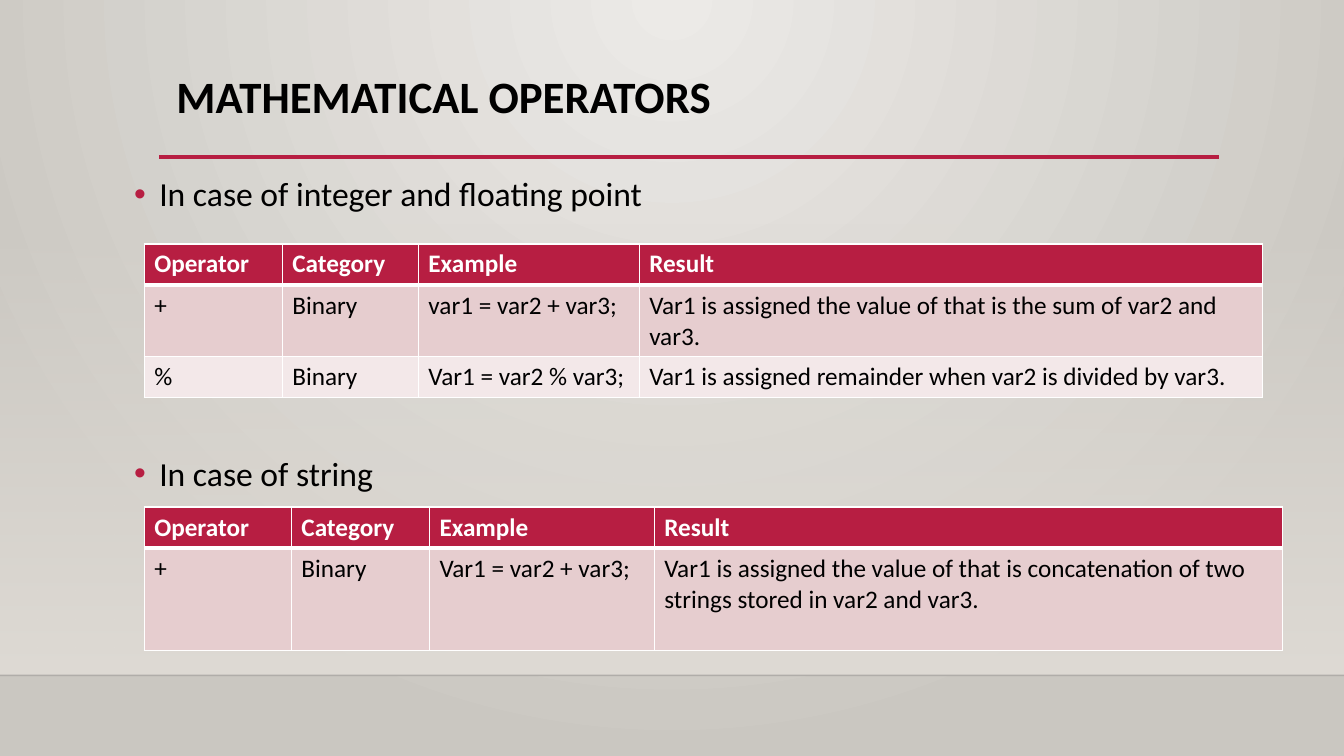
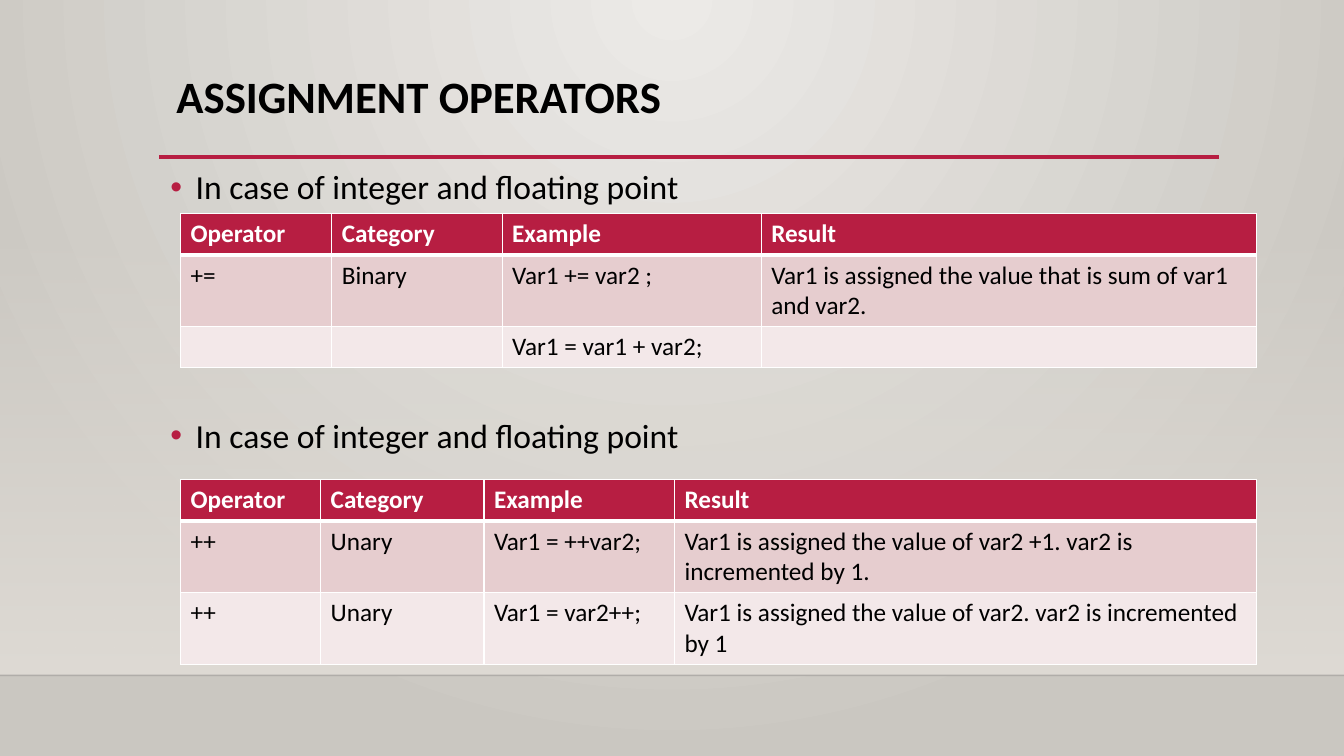
from lxml.etree import SubElement
from pptx import Presentation
from pptx.dml.color import RGBColor
from pptx.enum.shapes import MSO_CONNECTOR, MSO_SHAPE
from pptx.enum.text import MSO_ANCHOR, MSO_AUTO_SIZE, PP_ALIGN
from pptx.oxml.ns import qn
from pptx.util import Inches, Pt

COLORS = {
    "text": "000000",
    "white": "FFFFFF",
    "accent": "B71E42",
    "row_dark": "E6CDCF",
    "row_light": "F3E8E9",
    "glow": "ECEAE7",
    "edge": "CAC7C1",
    "wall": "DFDBD5",
    "floor_line": "000001",
}
FONT = "Calibri"
HEADINGS = ["Operator", "Category", "Example", "Result"]

SLIDES = [
    {
        "title": "MATHEMATICAL OPERATORS",
        "body": (1.23, 1.59, 11.49, 4.98),
        "bullets": [("In case of integer and floating point", 10), ("In case of string", 165)],
        "tables": [
            {
                "position": (1.43, 2.42),
                "columns": [1.37, 1.35, 2.19, 6.18],
                "heights": [0.41, 0.7, 0.4],
                "rows": [
                    ["+", "Binary", "var1 = var2 + var3;",
                     "Var1 is assigned the value of that is the sum of var2 and var3."],
                    ["%", "Binary", "Var1 = var2 % var3;",
                     "Var1 is assigned remainder when var2 is divided by var3."],
                ],
            },
            {
                "position": (1.43, 5.03),
                "columns": [1.46, 1.37, 2.23, 6.23],
                "heights": [0.41, 1.01],
                "rows": [
                    ["+", "Binary", "Var1 = var2 + var3;",
                     "Var1 is assigned the value of that is concatenation of two strings stored in var2 and var3."],
                ],
            },
        ],
    },
    {
        "title": "ASSIGNMENT OPERATORS",
        "body": (1.59, 1.52, 10.87, 5.17),
        "bullets": [("In case of integer and floating point", 10),
                    ("In case of integer and floating point", 143)],
        "tables": [
            {
                "position": (1.79, 2.12),
                "columns": [1.5, 1.69, 2.57, 4.91],
                "heights": [0.41, 0.7, 0.4],
                "rows": [
                    ["+=", "Binary", "Var1 += var2 ;",
                     "Var1 is assigned the value that is sum of var1 and var2."],
                    ["", "", "Var1 = var1 + var2;", ""],
                ],
            },
            {
                "position": (1.79, 4.76),
                "columns": [1.39, 1.62, 1.89, 5.77],
                "heights": [0.41, 0.7, 0.7],
                "rows": [
                    ["++", "Unary", "Var1 = ++var2;",
                     "Var1 is assigned the value of var2 +1. var2 is incremented by 1."],
                    ["++", "Unary", "Var1 = var2++;",
                     "Var1 is assigned the value of var2. var2 is incremented by 1"],
                ],
            },
        ],
    },
]


def write_text(paragraph, text, size=18, color="text", bold=False):
    run = paragraph.add_run()
    run.text = text
    run.font.name = FONT
    run.font.size = Pt(size)
    run.font.bold = bold
    run.font.color.rgb = RGBColor.from_string(COLORS[color])


def place(shape, left, top, width, height):
    shape.left, shape.top = Inches(left), Inches(top)
    shape.width, shape.height = Inches(width), Inches(height)


presentation = Presentation()
presentation.slide_width = Inches(13.33)
presentation.slide_height = Inches(7.5)
layout = presentation.slide_layouts[1]
master = presentation.slide_master

background = master.background.fill
background.gradient()
for stop, color in zip(background.gradient_stops, ["glow", "edge"]):
    stop.color.rgb = RGBColor.from_string(COLORS[color])
direction = master.element.xpath("//p:bgPr/a:gradFill/a:lin")[0]
circle = SubElement(direction.getparent(), qn("a:path"), path="circle")
SubElement(circle, qn("a:fillToRect"), l="43000", t="0", r="43000", b="100000")
direction.getparent().replace(direction, circle)

for placeholder in list(layout.placeholders):
    if placeholder.placeholder_format.idx >= 10:
        placeholder.element.getparent().remove(placeholder.element)
layout_title = layout.placeholders[0]
place(layout_title, 1.65, 0.69, 10.5, 0.83)

slides = [presentation.slides.add_slide(layout) for content in SLIDES]

wall = slides[0].shapes.add_shape(
    MSO_SHAPE.RECTANGLE, 0, Inches(2.21), Inches(13.33), Inches(4.49))
wall.shadow.inherit = False
wall.line.fill.background()
wall.fill.gradient()
wall.fill.gradient_angle = 270
for stop in wall.fill.gradient_stops:
    stop.color.rgb = RGBColor.from_string(COLORS["wall"])
SubElement(wall.element.xpath(".//a:gs/a:srgbClr")[0], qn("a:alpha"), val="0")
layout_title.element.addprevious(wall.element)

for left, right, top, color, weight, opacity in [
    (0, 13.33, 6.7, "floor_line", 1, 20),
    (1.58, 12.09, 1.56, "accent", 2.5, 100),
]:
    rule = slides[0].shapes.add_connector(
        MSO_CONNECTOR.STRAIGHT, Inches(left), Inches(top), Inches(right), Inches(top))
    rule.line.width = Pt(weight)
    rule.line.color.rgb = RGBColor.from_string(COLORS[color])
    SubElement(rule.element.xpath(".//a:ln//a:srgbClr")[0], qn("a:alpha"), val=str(opacity * 1000))
    SubElement(rule.element.spPr, qn("a:effectLst"))
    layout_title.element.addprevious(rule.element)

for slide, content in zip(slides, SLIDES):
    title, body = slide.shapes.title, slide.placeholders[1]
    place(body, *content["body"])
    for frame in (title.text_frame, body.text_frame):
        frame.word_wrap = True
        frame.auto_size = MSO_AUTO_SIZE.NONE
        frame.vertical_anchor = MSO_ANCHOR.TOP

    heading = title.text_frame.paragraphs[0]
    heading.alignment = PP_ALIGN.LEFT
    heading.line_spacing = 0.9
    write_text(heading, content["title"], size=32, bold=True)

    for index, (text, space_before) in enumerate(content["bullets"]):
        frame = body.text_frame
        paragraph = frame.add_paragraph() if index else frame.paragraphs[0]
        paragraph.line_spacing = 1.2
        paragraph.space_before = Pt(space_before)
        write_text(paragraph, text, size=24)
        properties = paragraph._p.get_or_add_pPr()
        properties.set("marL", str(Inches(0.25)))
        properties.set("indent", str(-Inches(0.25)))
        bullet_color = SubElement(properties, qn("a:buClr"))
        SubElement(bullet_color, qn("a:srgbClr"), val=COLORS["accent"])
        SubElement(properties, qn("a:buFont"), typeface="Arial")
        SubElement(properties, qn("a:buChar"), char="•")

    for grid in content["tables"]:
        rows = [HEADINGS] + grid["rows"]
        left, top = grid["position"]
        table = slide.shapes.add_table(
            len(rows), len(HEADINGS), Inches(left), Inches(top),
            Inches(sum(grid["columns"])), Inches(sum(grid["heights"]))).table
        table.horz_banding = False
        for column, width in zip(table.columns, grid["columns"]):
            column.width = Inches(width)
        for row_index, texts in enumerate(rows):
            table.rows[row_index].height = Inches(grid["heights"][row_index])
            is_header = row_index == 0
            fill = ["accent", "row_dark", "row_light"][row_index]
            weights = {"L": 1, "R": 1, "T": 3 if row_index == 1 else 1, "B": 3 if is_header else 1}
            for cell, text in zip(table.rows[row_index].cells, texts):
                properties = cell._tc.get_or_add_tcPr()
                for side, weight in weights.items():
                    border = SubElement(properties, qn("a:ln" + side), w=str(Pt(weight)))
                    border_fill = SubElement(border, qn("a:solidFill"))
                    SubElement(border_fill, qn("a:srgbClr"), val=COLORS["white"])
                cell.fill.solid()
                cell.fill.fore_color.rgb = RGBColor.from_string(COLORS[fill])
                if text:
                    write_text(cell.text_frame.paragraphs[0], text,
                               color="white" if is_header else "text", bold=is_header)

presentation.save("out.pptx")
